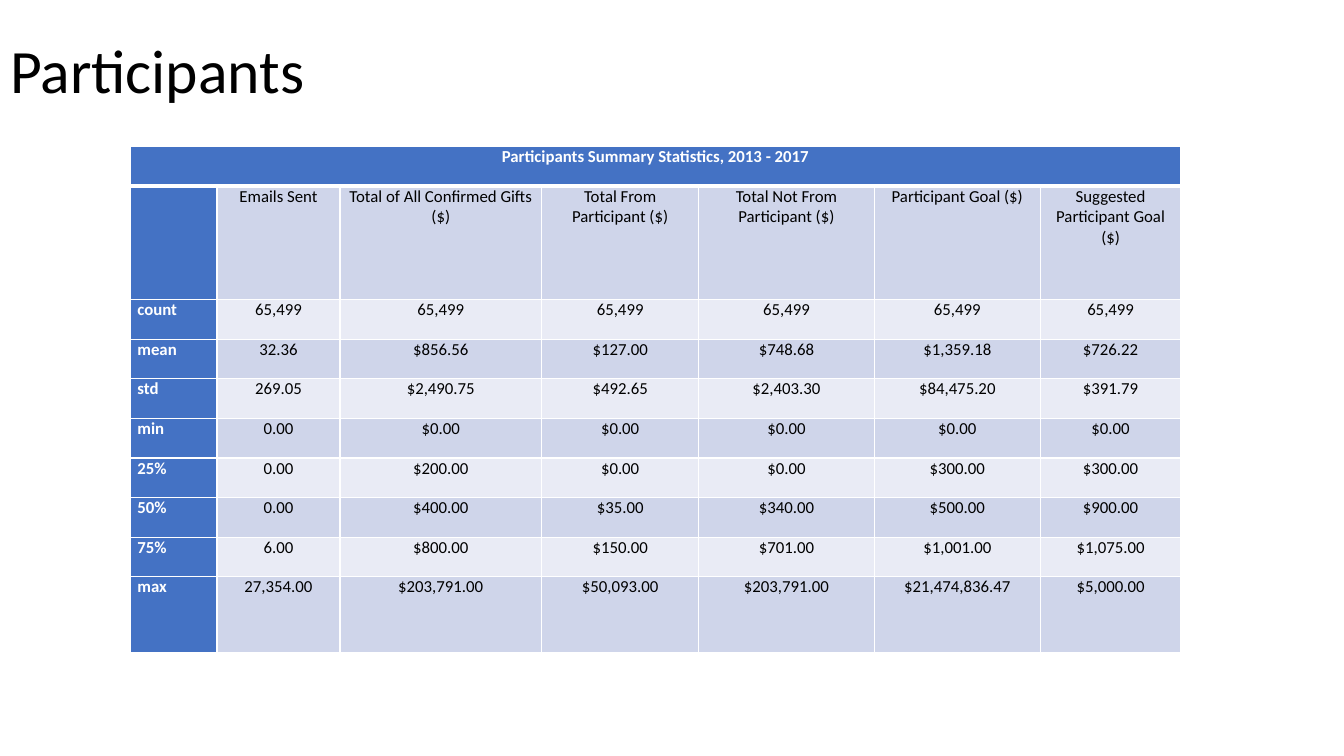
from lxml.etree import SubElement
from pptx import Presentation
from pptx.dml.color import RGBColor
from pptx.enum.text import MSO_ANCHOR as Anchor, MSO_AUTO_SIZE as AutoSize, PP_ALIGN as Align
from pptx.oxml.ns import qn
from pptx.util import Inches, Pt

WHITE = RGBColor(0xFF, 0xFF, 0xFF)
BLACK = RGBColor(0x00, 0x00, 0x00)
BLUE = RGBColor(0x44, 0x72, 0xC4)
BAND_DARK = RGBColor(0xCF, 0xD5, 0xEA)
BAND_LIGHT = RGBColor(0xE9, 0xEB, 0xF5)

CAPTION = "Participants Summary Statistics, 2013 - 2017"
STATISTICS = [
    ["", "Emails Sent", "Total of All Confirmed Gifts ($)", "Total From Participant ($)",
     "Total Not From Participant ($)", "Participant Goal ($)", "Suggested Participant Goal ($)"],
    ["count"] + ["65,499"] * 6,
    ["mean", "32.36", "$856.56", "$127.00", "$748.68", "$1,359.18", "$726.22"],
    ["std", "269.05", "$2,490.75", "$492.65", "$2,403.30", "$84,475.20", "$391.79"],
    ["min", "0.00"] + ["$0.00"] * 5,
    ["25%", "0.00", "$200.00", "$0.00", "$0.00", "$300.00", "$300.00"],
    ["50%", "0.00", "$400.00", "$35.00", "$340.00", "$500.00", "$900.00"],
    ["75%", "6.00", "$800.00", "$150.00", "$701.00", "$1,001.00", "$1,075.00"],
    ["max", "27,354.00", "$203,791.00", "$50,093.00", "$203,791.00", "$21,474,836.47", "$5,000.00"],
]
COLUMN_SHARES = [6.45, 9.15, 15, 11.7, 13.05, 12.38, 10.43]
ROW_SHARES = [5.24, 15] + [5.24] * 7 + [10]


def write(frame, text, size=12, color=BLACK, bold=False, align=Align.CENTER, spacing=None):
    """Put one formatted paragraph into a text frame."""
    paragraph = frame.paragraphs[0]
    paragraph.alignment = align
    paragraph.line_spacing = spacing
    run = paragraph.add_run()
    run.text = text
    run.font.name = "Calibri"
    run.font.size = Pt(size)
    run.font.bold = bold
    run.font.color.rgb = color


class StatisticsSlide:
    """Hold the deck and its slide, with lengths as percent of the slide size."""

    def __init__(self):
        """Open a widescreen deck with one titled slide."""
        self.deck = Presentation()
        self.deck.slide_width = Inches(13.33)
        self.deck.slide_height = Inches(7.5)
        self.slide = self.deck.slides.add_slide(self.deck.slide_layouts[5])

    def across(self, percent):
        """Turn a share of the slide width into a length."""
        return int(self.deck.slide_width * percent / 100)

    def down(self, percent):
        """Turn a share of the slide height into a length."""
        return int(self.deck.slide_height * percent / 100)

    def heading(self, text, width, height):
        """Fill the title placeholder at the top left corner."""
        title = self.slide.shapes.title
        title.left, title.top = 0, 0
        title.width, title.height = self.across(width), self.down(height)
        title.text_frame.auto_size = AutoSize.NONE
        title.text_frame.vertical_anchor = Anchor.MIDDLE
        write(title.text_frame, text, size=44, align=Align.LEFT, spacing=0.9)

    def style_cell(self, cell, fill, top, bottom):
        """Set the insets, white borders and fill of a cell."""
        cell.margin_left = cell.margin_right = Inches(0.07)
        cell.margin_top = cell.margin_bottom = 0
        properties = cell._tc.get_or_add_tcPr()
        for side, points in zip("LRTB", (1, 1, top, bottom)):
            border = SubElement(properties, qn(f"a:ln{side}"), w=str(Pt(points)))
            paint = SubElement(border, qn("a:solidFill"))
            SubElement(paint, qn("a:srgbClr"), val=str(WHITE))
        cell.fill.solid()
        cell.fill.fore_color.rgb = fill

    def statistics_table(self, left, top):
        """Add the captioned table with banded rows."""
        table = self.slide.shapes.add_table(
            len(ROW_SHARES), len(COLUMN_SHARES), self.across(left), self.down(top),
            self.across(sum(COLUMN_SHARES)), self.down(sum(ROW_SHARES))).table
        table.first_col = True
        for column, share in zip(table.columns, COLUMN_SHARES):
            column.width = self.across(share)
        for row, share in zip(table.rows, ROW_SHARES):
            row.height = self.down(share)

        for caption_cell in table.rows[0].cells:
            self.style_cell(caption_cell, BLUE, top=1, bottom=3)
        table.cell(0, 0).merge(table.cell(0, len(COLUMN_SHARES) - 1))
        write(table.cell(0, 0).text_frame, CAPTION, color=WHITE, bold=True)

        for r, values in enumerate(STATISTICS, 1):
            band = BAND_DARK if r % 2 else BAND_LIGHT
            for c, value in enumerate(values):
                cell = table.cell(r, c)
                label = c == 0
                self.style_cell(cell, BLUE if label else band, top=3 if r == 1 else 1, bottom=1)
                if value:
                    write(cell.text_frame, value, color=WHITE if label else BLACK, bold=label,
                          align=Align.LEFT if label else Align.CENTER)


def main():
    """Build the slide and save the deck."""
    page = StatisticsSlide()
    page.heading("Participants", width=86.27, height=19.33)
    page.statistics_table(left=9.7, top=19.4)
    page.deck.save("out.pptx")


if __name__ == "__main__":
    main()
